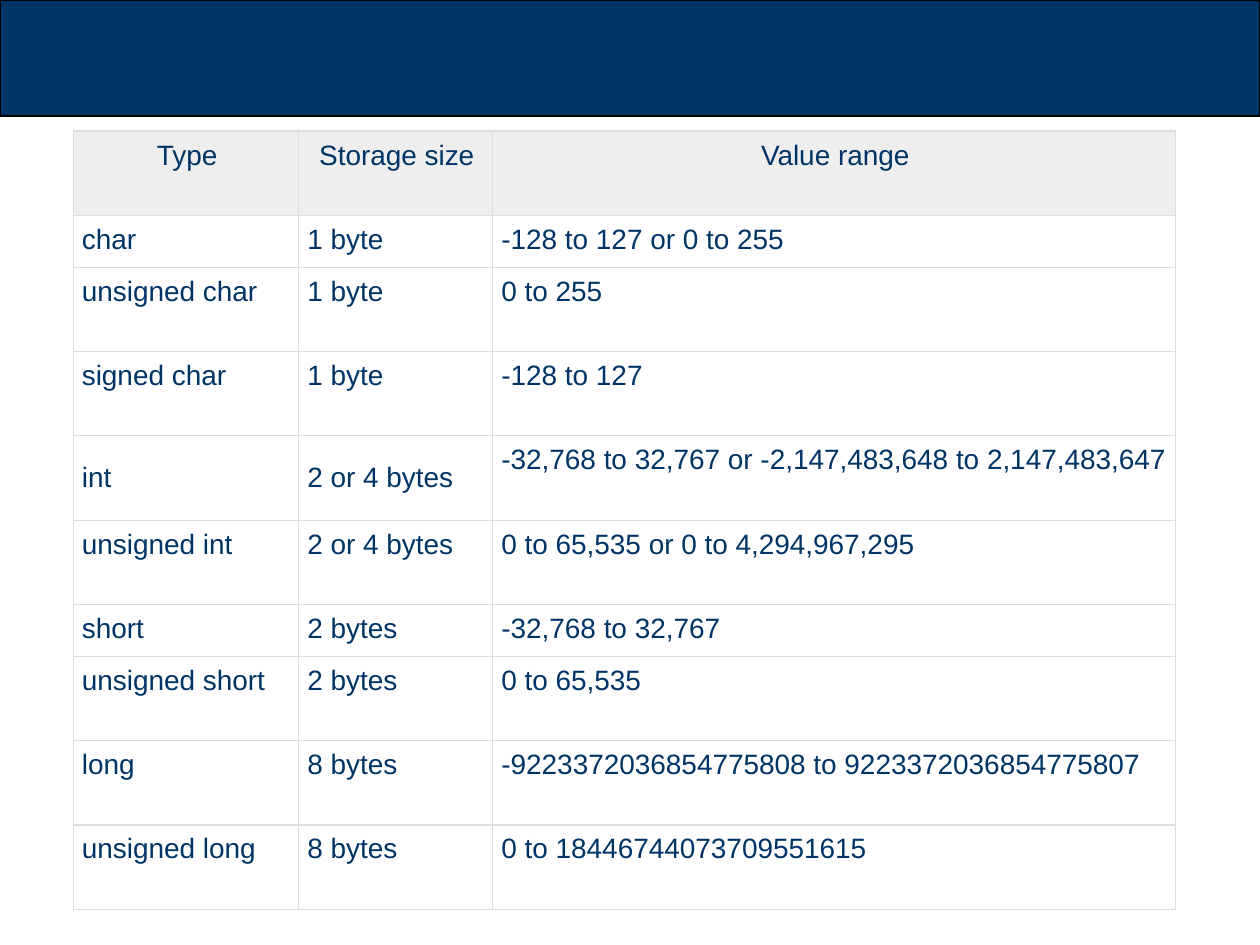
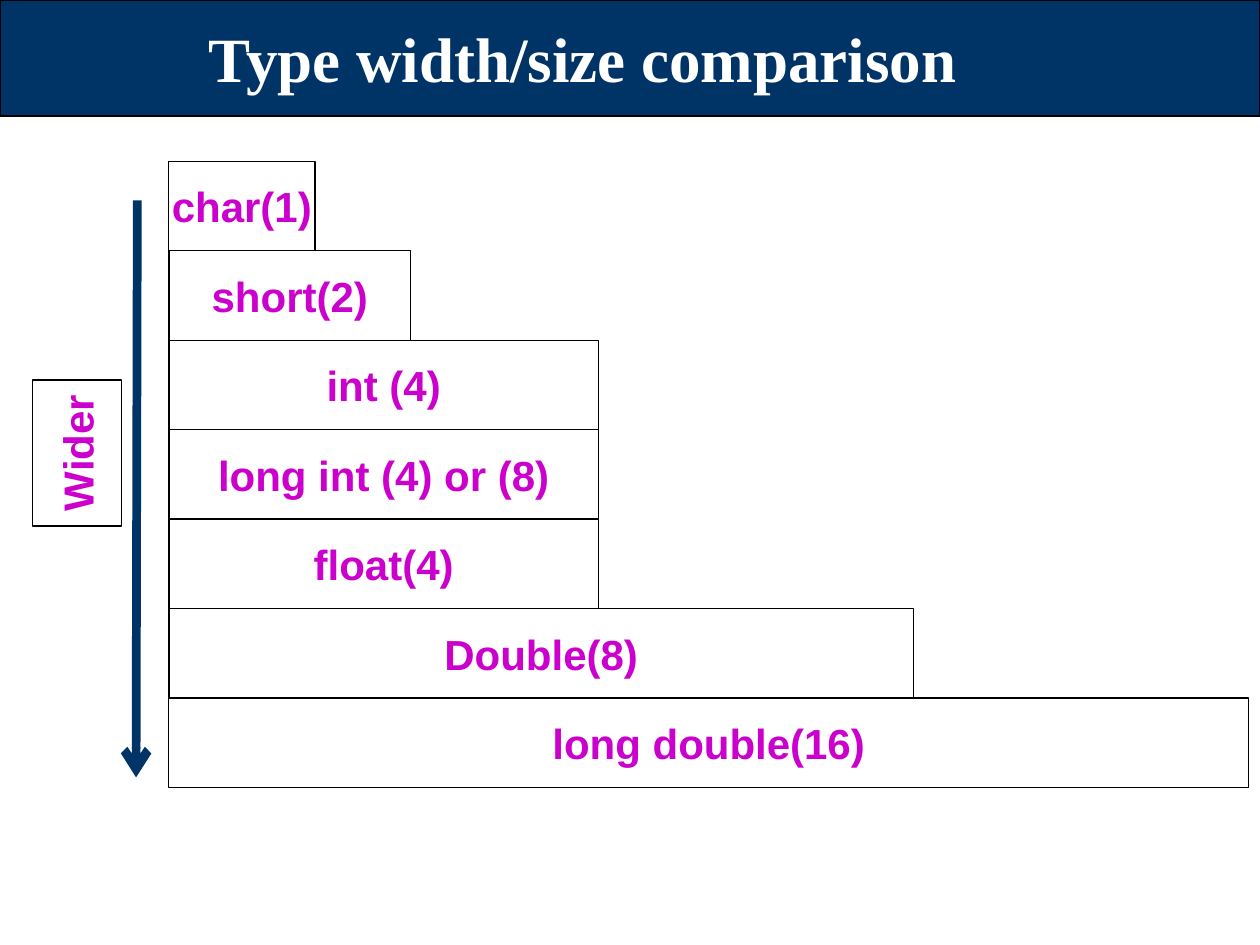
from lxml.etree import SubElement
from pptx import Presentation
from pptx.dml.color import RGBColor
from pptx.enum.shapes import MSO_CONNECTOR as Connector, MSO_SHAPE as Shape
from pptx.enum.text import MSO_ANCHOR as Anchor, PP_ALIGN as Align
from pptx.oxml.ns import qn
from pptx.util import Inches, Pt

NAVY = RGBColor(0x00, 0x33, 0x66)
BLACK = RGBColor(0x00, 0x00, 0x00)
WHITE = RGBColor(0xFF, 0xFF, 0xFF)
MAGENTA = RGBColor(0xCC, 0x00, 0xCC)
HEADER_GREY = RGBColor(0xEE, 0xEE, 0xEE)
BORDER_GREY = RGBColor(0xDD, 0xDD, 0xDD)

TITLE_ONLY, BLANK = 5, 6
BAND_ID = 100

TYPE_ROWS = [
    ("Type", "Storage size", "Value range"),
    ("char", "1 byte", "-128 to 127 or 0 to 255"),
    ("unsigned char", "1 byte", "0 to 255"),
    ("signed char", "1 byte", "-128 to 127"),
    ("int", "2 or 4 bytes", "-32,768 to 32,767 or -2,147,483,648 to 2,147,483,647"),
    ("unsigned int", "2 or 4 bytes", "0 to 65,535 or 0 to 4,294,967,295"),
    ("short", "2 bytes", "-32,768 to 32,767"),
    ("unsigned short", "2 bytes", "0 to 65,535"),
    ("long", "8 bytes", "-9223372036854775808 to 9223372036854775807"),
    ("unsigned long", "8 bytes", "0 to 18446744073709551615"),
]
COLUMN_WIDTHS = [1.79, 1.54, 5.42]
TALL_ROW, SHORT_ROW = 0.67, 0.41

TYPE_BARS = [
    ("char(1)", 1.16),
    ("short(2)", 1.92),
    ("int (4)", 3.41),
    ("long int (4) or (8)", 3.41),
    ("float(4)", 3.41),
    ("Double(8)", 5.91),
    ("long double(16)", 8.57),
]
BAR_LEFT, BAR_TOP, BAR_HEIGHT = 1.34, 1.28, 0.71


class Deck:
    body_font = "Arial"
    title_font = "Times New Roman"

    def __init__(self):
        self.presentation = Presentation()
        self.presentation.slide_width = Inches(10)
        self.presentation.slide_height = Inches(7.5)
        self.slide = None

    def add_slide(self, layout):
        self.slide = self.presentation.slides.add_slide(
            self.presentation.slide_layouts[layout])

    def set_text(self, text_frame, text, font, size, color, bold, align):
        text_frame.text = text
        paragraph = text_frame.paragraphs[0]
        paragraph.alignment = align
        run_font = paragraph.runs[0].font
        run_font.name = font
        run_font.size = Pt(size)
        run_font.bold = bold
        run_font.color.rgb = color

    def rectangle(self, left, top, width, height):
        shape = self.slide.shapes.add_shape(
            Shape.RECTANGLE, Inches(left), Inches(top), Inches(width), Inches(height))
        shape.shadow.inherit = False
        shape.fill.background()
        shape.line.color.rgb = BLACK
        shape.line.width = Pt(0.75)
        return shape

    def master_band(self):
        band = self.rectangle(0, 0, 10, 0.92)
        band.fill.solid()
        band.fill.fore_color.rgb = NAVY
        band.element.nvSpPr.cNvPr.id = BAND_ID
        self.presentation.slide_master.shapes.element.insert(2, band.element)

    def title(self, text):
        title = self.slide.shapes.title
        title.left, title.top = Inches(0.25), Inches(0.08)
        title.width, title.height = Inches(8.75), Inches(0.75)
        title.text_frame.vertical_anchor = Anchor.MIDDLE
        self.set_text(title.text_frame, text, self.title_font, 36, WHITE, True, Align.CENTER)

    def label_box(self, text, left, top, width, height, rotation=0):
        box = self.rectangle(left, top, width, height)
        box.rotation = rotation
        box.text_frame.word_wrap = False
        box.text_frame.vertical_anchor = Anchor.MIDDLE
        self.set_text(box.text_frame, text, self.body_font, 24, MAGENTA, True, Align.CENTER)

    def arrow(self, start_x, start_y, end_x, end_y):
        arrow = self.slide.shapes.add_connector(
            Connector.STRAIGHT, Inches(start_x), Inches(start_y),
            Inches(end_x), Inches(end_y))
        arrow.line.color.rgb = NAVY
        arrow.line.width = Pt(5)
        SubElement(arrow.element.spPr.find(qn("a:ln")), qn("a:tailEnd"), type="arrow")
        SubElement(arrow.element.spPr, qn("a:effectLst"))

    def cell_borders(self, cell):
        properties = cell._tc.get_or_add_tcPr()
        for index, side in enumerate(("lnL", "lnR", "lnT", "lnB")):
            line = SubElement(properties, qn(f"a:{side}"), w=str(Pt(0.75)))
            fill = SubElement(line, qn("a:solidFill"))
            SubElement(fill, qn("a:srgbClr"), val=str(BORDER_GREY))
            properties.insert(index, line)

    def table_cell(self, cell, text, is_header, anchor):
        cell.margin_left = cell.margin_top = cell.margin_bottom = Inches(0.07)
        cell.margin_right = Inches(0.05)
        cell.vertical_anchor = anchor
        if is_header:
            cell.fill.solid()
            cell.fill.fore_color.rgb = HEADER_GREY
        else:
            cell.fill.background()
        self.set_text(cell.text_frame, text, self.body_font, 16, NAVY, False,
                      Align.CENTER if is_header else Align.LEFT)
        self.cell_borders(cell)

    def table(self, rows, left, top, column_widths, row_heights, middle_cells):
        table = self.slide.shapes.add_table(
            len(rows), len(column_widths), Inches(left), Inches(top),
            Inches(sum(column_widths)), Inches(sum(row_heights))).table
        table.first_row = table.horz_banding = False
        for column, width in zip(table.columns, column_widths):
            column.width = Inches(width)
        for row_index, (texts, height) in enumerate(zip(rows, row_heights)):
            table.rows[row_index].height = Inches(height)
            for column_index, text in enumerate(texts):
                is_middle = (row_index, column_index) in middle_cells
                self.table_cell(table.cell(row_index, column_index), text,
                                row_index == 0,
                                Anchor.MIDDLE if is_middle else Anchor.TOP)


deck = Deck()

deck.add_slide(BLANK)
deck.master_band()
row_heights = [SHORT_ROW if row[0] in ("char", "short") else TALL_ROW for row in TYPE_ROWS]
deck.table(TYPE_ROWS, 0.58, 1.04, COLUMN_WIDTHS, row_heights, {(4, 0), (4, 1)})

deck.add_slide(TITLE_ONLY)
deck.title("Type width/size comparison")
for index, (name, width) in enumerate(TYPE_BARS):
    deck.label_box(name, BAR_LEFT, BAR_TOP + index * BAR_HEIGHT, width, BAR_HEIGHT)
deck.arrow(1.09, 1.59, 1.08, 6.17)
deck.label_box("Wider", 0.03, 3.24, 1.16, BAR_HEIGHT, rotation=270)

deck.presentation.save("out.pptx")
